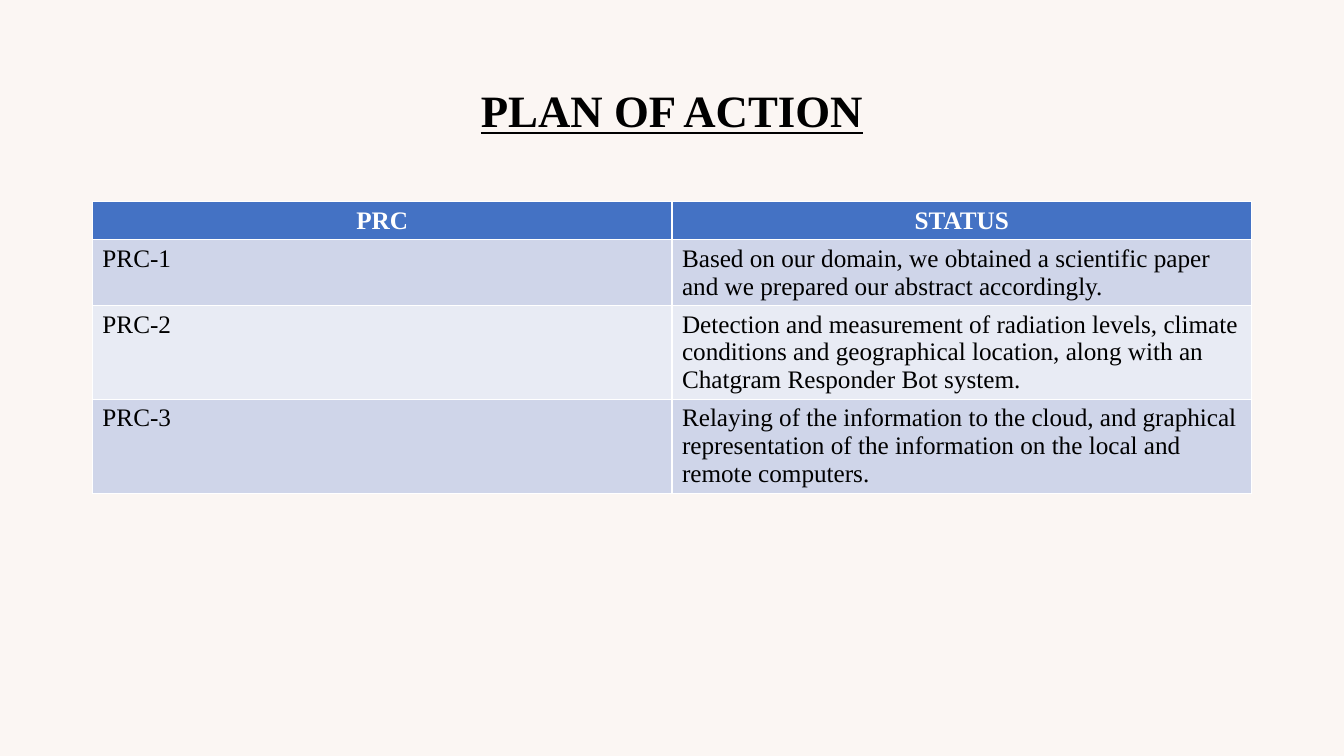
from lxml import etree
from pptx import Presentation
from pptx.dml.color import RGBColor
from pptx.enum import text
from pptx.oxml import ns
from pptx.util import Pt

FONT = "Times New Roman"
MARGIN, CONTENT_WIDTH = 66, 828
LINE_HEIGHT, CELL_PADDING = 19.8, 7.2

HEADINGS = ("PRC", "STATUS")
STAGES = [
    ("PRC-1", "Based on our domain, we obtained a scientific paper "
              "and we prepared our abstract accordingly.", 2),
    ("PRC-2", "Detection and measurement of radiation levels, climate conditions and "
              "geographical location, along with an Chatgram Responder Bot system.", 3),
    ("PRC-3", "Relaying of the information to the cloud, and graphical representation "
              "of the information on the local and remote computers.", 3),
]


def colour(value):
    return RGBColor.from_string(value)


def write(frame, words, size=18, ink="000000", bold=False, underline=False,
          align=text.PP_ALIGN.LEFT, spacing=1.0):
    para = frame.paragraphs[0]
    para.alignment = align
    para.line_spacing = spacing
    span = para.add_run()
    span.text = words
    span.font.name = FONT
    span.font.size = Pt(size)
    span.font.bold = bold
    span.font.underline = underline
    span.font.color.rgb = colour(ink)


class PlanSlide:
    header_fill = "4472C4"
    band_fills = ("CFD5E9", "E8EBF4")
    border, border_width = "FFFFFF", 0.96

    def __init__(self, deck, background):
        self.page = deck.slides.add_slide(deck.slide_layouts[5])
        fill = self.page.background.fill
        fill.solid()
        fill.fore_color.rgb = colour(background)

    def title(self, words, left, top, width, height):
        box = self.page.shapes.title
        box.left, box.top, box.width, box.height = map(Pt, (left, top, width, height))
        frame = box.text_frame
        frame.auto_size = text.MSO_AUTO_SIZE.NONE
        frame.vertical_anchor = text.MSO_ANCHOR.MIDDLE
        write(frame, words, size=32, bold=True, underline=True,
              align=text.PP_ALIGN.CENTER, spacing=0.9)

    def outline(self, cell):
        properties = cell._tc.get_or_add_tcPr()
        for index, side in enumerate(("lnL", "lnR", "lnT", "lnB")):
            line = etree.Element(ns.qn(f"a:{side}"), w=str(Pt(self.border_width)))
            solid = etree.SubElement(line, ns.qn("a:solidFill"))
            etree.SubElement(solid, ns.qn("a:srgbClr"), val=self.border)
            properties.insert(index, line)

    def cell(self, cell, words, fill, **style):
        write(cell.text_frame, words, **style)
        cell.fill.solid()
        cell.fill.fore_color.rgb = colour(fill)
        self.outline(cell)

    def table(self, headings, stages, left, top, width):
        heights = [LINE_HEIGHT * lines + CELL_PADDING
                   for lines in (1, *(stage[-1] for stage in stages))]
        table = self.page.shapes.add_table(
            len(heights), len(headings),
            Pt(left), Pt(top), Pt(width), Pt(sum(heights))).table
        for row, height in zip(table.rows, heights):
            row.height = Pt(height)

        # Header row
        for column, heading in enumerate(headings):
            self.cell(table.cell(0, column), heading, self.header_fill,
                      ink="FFFFFF", bold=True, align=text.PP_ALIGN.CENTER)

        # Banded rows
        for row, (*entries, _) in enumerate(stages, start=1):
            fill = self.band_fills[(row - 1) % 2]
            for column, entry in enumerate(entries):
                self.cell(table.cell(row, column), entry, fill)


def main():
    deck = Presentation()
    deck.slide_width, deck.slide_height = Pt(960), Pt(540)
    slide = PlanSlide(deck, "FBF6F3")
    slide.title("PLAN OF ACTION", MARGIN, 28.75, CONTENT_WIDTH, 104.4)
    slide.table(HEADINGS, STAGES, MARGIN, 144, CONTENT_WIDTH)
    deck.save("out.pptx")


if __name__ == "__main__":
    main()
